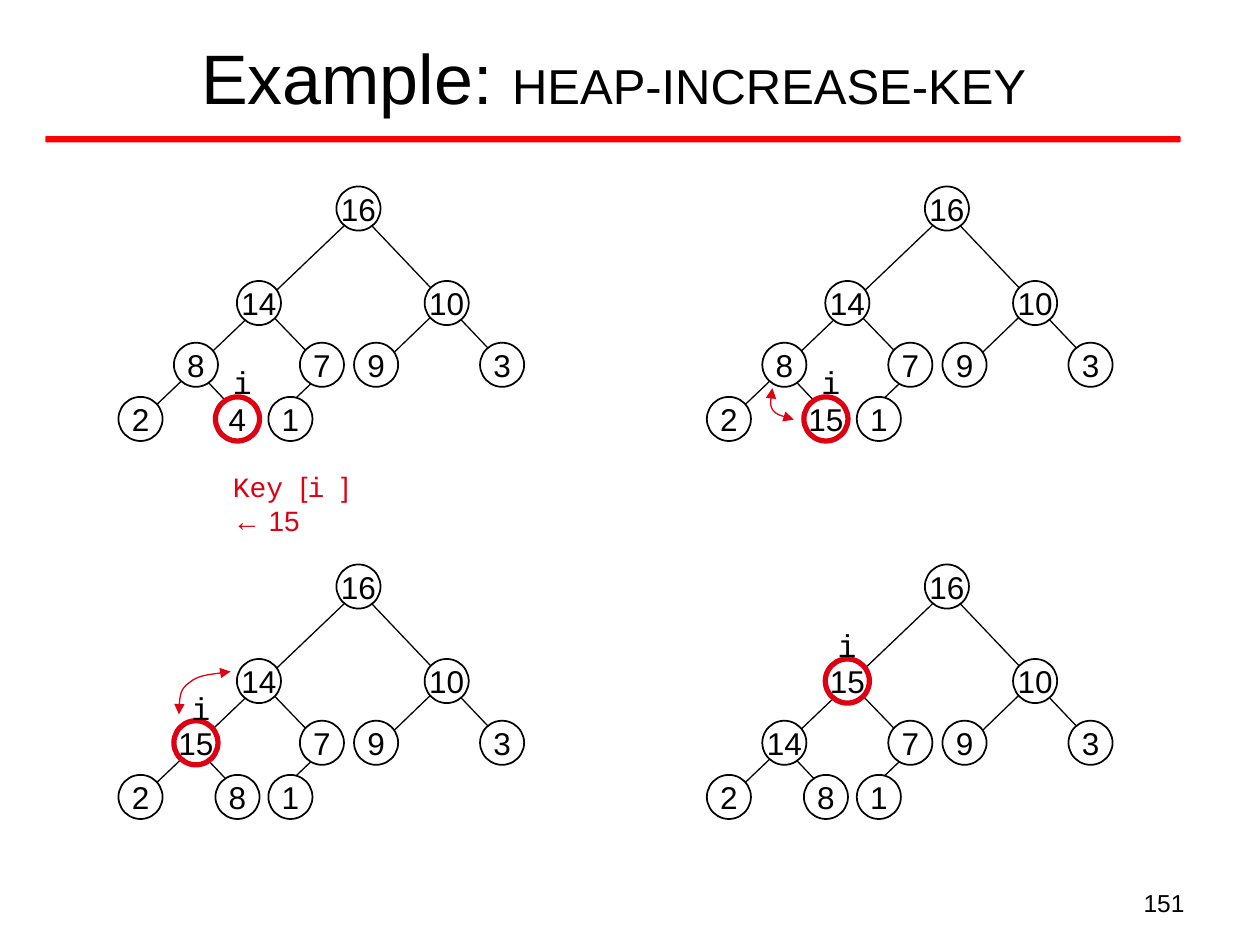
from lxml import etree
from pptx import Presentation
from pptx.dml.color import RGBColor
from pptx.enum.shapes import MSO_CONNECTOR as CONNECTOR, MSO_SHAPE as SHAPE
from pptx.enum.text import MSO_ANCHOR as ANCHOR, PP_ALIGN as ALIGN
from pptx.oxml.ns import qn
from pptx.util import Inches, Pt

COLORS = {"black": "000000", "white": "FFFFFF", "rule": "FF0000", "mark": "DD0111"}
COLORS = {name: RGBColor.from_string(value) for name, value in COLORS.items()}
SANS, MONO = "Arial", "Courier New"


def write_text(shape, runs, size=18, color="black", align=ALIGN.LEFT,
               anchor=ANCHOR.TOP, wrap=True, inset=0.1):
    """Fill a shape with one paragraph; each run is (text, font[, size])."""
    frame = shape.text_frame
    frame.word_wrap = wrap
    frame.vertical_anchor = anchor
    frame.margin_left = frame.margin_right = Inches(inset)
    paragraph = frame.paragraphs[0]
    paragraph.alignment = align
    for text, font, *own_size in runs:
        run = paragraph.add_run()
        run.text = text
        run.font.name = font
        run.font.size = Pt(own_size[0] if own_size else size)
        run.font.color.rgb = COLORS[color]


prs = Presentation()
prs.slide_width, prs.slide_height = Inches(10), Inches(7.5)
slide = prs.slides.add_slide(prs.slide_layouts[6])

# Title, red rule and page number
rule = slide.shapes.add_shape(SHAPE.ROUNDED_RECTANGLE, Inches(0.36), Inches(1.08),
                              Inches(9.01), Inches(0.05))
rule.shadow.inherit = False
rule.fill.solid()
rule.fill.fore_color.rgb = COLORS["rule"]
rule.line.fill.background()

title = slide.shapes.add_textbox(Inches(0.37), Inches(0.11), Inches(9), Inches(0.99))
write_text(title, [("Example: ", SANS, 40), ("HEAP-INCREASE-KEY", SANS, 28)],
           align=ALIGN.CENTER, anchor=ANCHOR.MIDDLE)
page = slide.shapes.add_textbox(Inches(7.17), Inches(7), Inches(2.33), Inches(0.35))
write_text(page, [("151", SANS)], size=14, align=ALIGN.RIGHT)

# Tree layout: edges and nodes (in heap order) of the top left tree
NODE = 0.35
EDGES = [(2.18, 3.32, 2.63, 2.89), (2.99, 2.93, 3.55, 2.39), (1.97, 3.37, 1.44, 2.81),
         (2.57, 2.93, 2.03, 2.37), (4.07, 2.97, 2.74, 1.57), (1.13, 3.32, 2.88, 1.65)]
NODES = [(2.67, 1.48), (1.88, 2.23), (3.37, 2.23), (1.38, 2.72), (2.38, 2.72),
         (2.81, 2.72), (3.81, 2.72), (0.94, 3.15), (1.71, 3.15), (2.13, 3.15)]

# Each step: column, row, keys, index of i, place of its label, swap curve
STEPS = [
    (0, 0, [16, 14, 10, 8, 7, 9, 3, 2, 4, 1], 8, (1.75, 2.83), None),
    (1, 0, [16, 14, 10, 8, 7, 9, 3, 2, 15, 1], 8, (6.42, 2.83),
     [(6.13, 3.08), (6.12, 3.15), (6.11, 3.21), (6.13, 3.25),
      (6.16, 3.29), (6.23, 3.31), (6.3, 3.33)]),
    (0, 1, [16, 14, 10, 15, 7, 9, 3, 2, 8, 1], 3, (1.42, 5.42),
     [(1.42, 5.67), (1.42, 5.57), (1.43, 5.47), (1.5, 5.42),
      (1.57, 5.36), (1.7, 5.35), (1.83, 5.33)]),
    (1, 1, [16, 15, 10, 14, 7, 9, 3, 2, 8, 1], 1, (6.55, 4.92), None),
]

for column, row, keys, marked, label_at, swap in STEPS:
    tree = slide.shapes.add_group_shape().shapes
    dx, dy = column * 4.67, row * 3

    for x1, y1, x2, y2 in EDGES:
        edge = tree.add_connector(CONNECTOR.STRAIGHT, Inches(x1 + dx), Inches(y1 + dy),
                                  Inches(x2 + dx), Inches(y2 + dy))
        edge.line.color.rgb = COLORS["black"]
        edge.line.width = Pt(0.75)
        etree.SubElement(edge._element.spPr, qn("a:effectLst"))

    for index, (key, (x, y)) in enumerate(zip(keys, NODES)):
        node = tree.add_shape(SHAPE.OVAL, Inches(x + dx), Inches(y + dy),
                              Inches(NODE), Inches(NODE))
        node.shadow.inherit = False
        node.fill.solid()
        node.fill.fore_color.rgb = COLORS["white"]
        node.line.color.rgb = COLORS["mark" if index == marked else "black"]
        node.line.width = Pt(3 if index == marked else 1)
        write_text(node, [(str(key), SANS)], align=ALIGN.CENTER,
                   anchor=ANCHOR.MIDDLE, wrap=False, inset=0)

    pointer = tree.add_textbox(*map(Inches, label_at), Inches(0.33), Inches(0.4))
    write_text(pointer, [("i", MONO)], wrap=False)

    if swap:
        points = [(Inches(x), Inches(y)) for x, y in swap]
        builder = tree.build_freeform(*points[0])
        builder.add_line_segments(points[1:], close=False)
        curve = builder.convert_to_shape()
        curve.shadow.inherit = False
        curve.fill.background()
        curve.line.color.rgb = COLORS["mark"]
        curve.line.width = Pt(0.75)
        # Turn every three line segments into one Bezier segment
        segments = list(curve._element.iter(qn("a:lnTo")))
        outline = segments[0].getparent()
        for start in range(0, len(segments), 3):
            bezier = etree.SubElement(outline, qn("a:cubicBezTo"))
            for segment in segments[start:start + 3]:
                bezier.append(segment[0])
                outline.remove(segment)
        for end in ("a:headEnd", "a:tailEnd"):
            etree.SubElement(curve.line._get_or_add_ln(), qn(end), type="triangle")

# New key under the first tree
new_key = slide.shapes.add_textbox(Inches(1.75), Inches(3.68), Inches(1.38), Inches(0.37))
write_text(new_key, [("Key ", MONO), ("[", SANS), ("i ", MONO), ("] ← 15", SANS)],
           size=16, color="mark")

prs.save("out.pptx")
